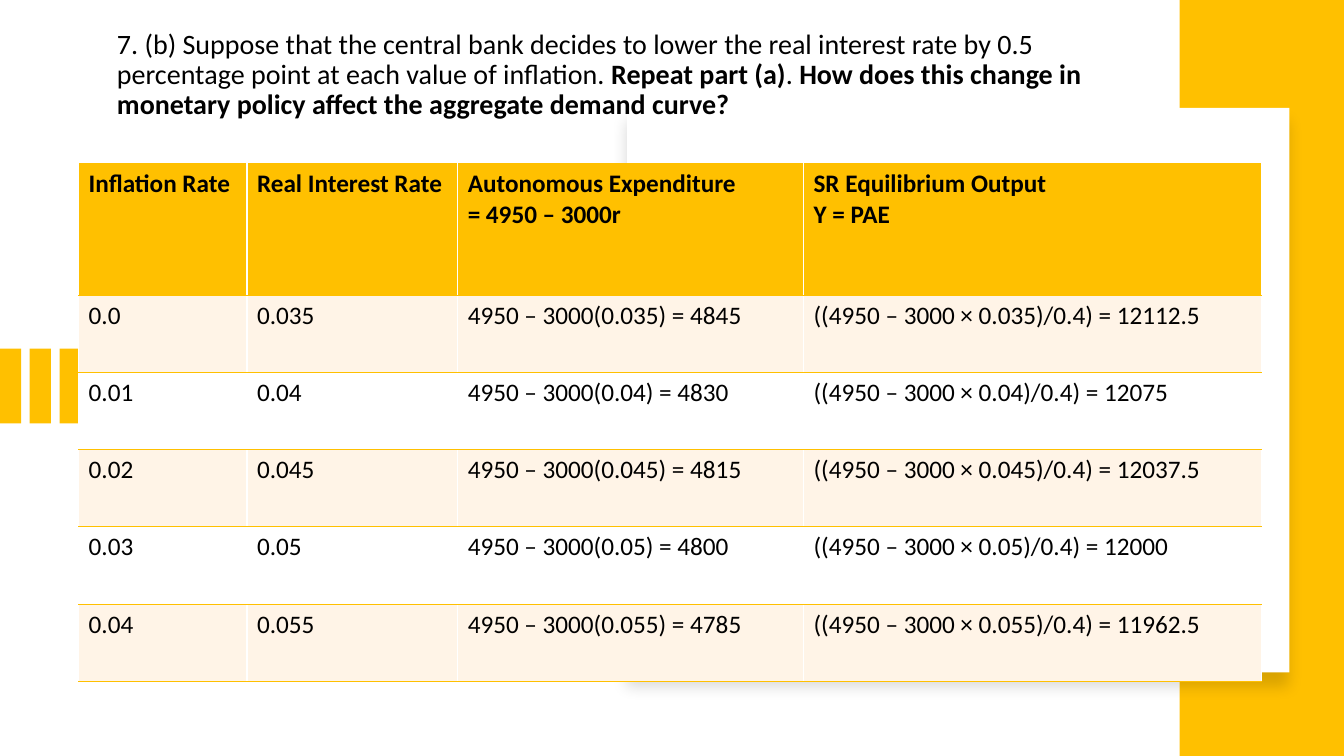
from lxml.etree import SubElement
from pptx import Presentation
from pptx.dml.color import RGBColor
from pptx.enum.shapes import MSO_SHAPE
from pptx.enum.text import MSO_ANCHOR, PP_ALIGN
from pptx.oxml.ns import qn
from pptx.util import Inches, Pt

# Content
QUESTION = [  # (text, bold)
    ("7. (b) Suppose that the central bank decides to lower the real interest rate "
     "by 0.5 percentage point at each value of inflation. ", False),
    ("Repeat part (a)", True),
    (". ", False),
    ("How does this change in monetary policy affect the aggregate demand curve?", True),
]
HEADERS = ["Inflation Rate", "Real Interest Rate",
           "Autonomous Expenditure\n= 4950 – 3000r", "SR Equilibrium Output\nY = PAE"]
SCHEDULE = [
    ("0.0", "0.035", "4950 – 3000(0.035) = 4845", "((4950 – 3000 × 0.035)/0.4) = 12112.5"),
    ("0.01", "0.04", "4950 – 3000(0.04) = 4830", "((4950 – 3000 × 0.04)/0.4) = 12075"),
    ("0.02", "0.045", "4950 – 3000(0.045) = 4815", "((4950 – 3000 × 0.045)/0.4) = 12037.5"),
    ("0.03", "0.05", "4950 – 3000(0.05) = 4800", "((4950 – 3000 × 0.05)/0.4) = 12000"),
    ("0.04", "0.055", "4950 – 3000(0.055) = 4785", "((4950 – 3000 × 0.055)/0.4) = 11962.5"),
]
COLUMN_WIDTHS = [1.67, 2.09, 3.43, 4.54]
TABLE_HEIGHT, HEADER_HEIGHT = 5.14, 1.31
GOLD, CREAM, WHITE, BLACK = "FFC000", "FFF4E7", "FFFFFF", "000000"
FONT = "Calibri"


def color(hex_code):
    return RGBColor.from_string(hex_code)


def add_block(shapes, left, top, width, height, fill):
    block = shapes.add_shape(MSO_SHAPE.RECTANGLE, Inches(left), Inches(top),
                             Inches(width), Inches(height))
    block.fill.solid()
    block.fill.fore_color.rgb = color(fill)
    block.line.fill.background()
    block.shadow.inherit = False
    return block


def add_soft_shadow(block):
    effects = block.element.spPr.find(qn("a:effectLst"))
    shadow = SubElement(effects, qn("a:outerShdw"), blurRad=str(Pt(11)), dist=str(Pt(10)),
                        dir="5400000", algn="t", rotWithShape="0")
    tint = SubElement(shadow, qn("a:srgbClr"), val=BLACK)
    SubElement(tint, qn("a:alpha"), val="15000")


def style_font(font, size, bold):
    font.name, font.size, font.bold = FONT, Pt(size), bold
    font.color.rgb = color(BLACK)


def set_borders(cell):
    properties = cell._tc.get_or_add_tcPr()
    sides = [("a:lnL", WHITE, 1), ("a:lnR", WHITE, 1), ("a:lnT", GOLD, 0.75), ("a:lnB", GOLD, 0.75)]
    for side, line_color, width in sides:
        line = SubElement(properties, qn(side), w=str(Pt(width)))
        SubElement(SubElement(line, qn("a:solidFill")), qn("a:srgbClr"), val=line_color)


def fill_cell(cell, text, fill, bold):
    cell.text_frame.text = text
    for paragraph in cell.text_frame.paragraphs:
        for run in paragraph.runs:
            style_font(run.font, 18, bold)
    set_borders(cell)
    cell.fill.solid()
    cell.fill.fore_color.rgb = color(fill)


def main():
    presentation = Presentation()
    presentation.slide_width, presentation.slide_height = Inches(13.33), Inches(7.5)
    slide = presentation.slides.add_slide(presentation.slide_layouts[5])

    # Gold stripes, side band and white card
    stripes = slide.shapes.add_group_shape()
    for i in range(3):
        add_block(stripes.shapes, i * 0.295, 3.46, 0.21, 0.74, GOLD)
    add_block(slide.shapes, 11.7, 0, 1.63, 7.5, GOLD)
    add_soft_shadow(add_block(slide.shapes, 6.22, 1.07, 6.57, 5.6, WHITE))

    # Schedule table
    table = slide.shapes.add_table(
        len(SCHEDULE) + 1, len(HEADERS), Inches(0.78), Inches(1.62),
        Inches(sum(COLUMN_WIDTHS)), Inches(TABLE_HEIGHT)).table
    for column, width in zip(table.columns, COLUMN_WIDTHS):
        column.width = Inches(width)
    row_height = (TABLE_HEIGHT - HEADER_HEIGHT) / len(SCHEDULE)
    for r, texts in enumerate([HEADERS] + SCHEDULE):
        header = r == 0
        table.rows[r].height = Inches(HEADER_HEIGHT if header else row_height)
        fill = GOLD if header else CREAM if r % 2 else WHITE
        for c, text in enumerate(texts):
            fill_cell(table.cell(r, c), text, fill, header)

    # Question, in front of the card
    question = slide.shapes.title
    question.left, question.top = Inches(1.06), Inches(0.25)
    question.width, question.height = Inches(9.77), Inches(1.28)
    question.element.getparent().append(question.element)
    frame = question.text_frame
    frame.word_wrap = True
    frame.vertical_anchor = MSO_ANCHOR.TOP
    paragraph = frame.paragraphs[0]
    paragraph.alignment = PP_ALIGN.LEFT
    paragraph.line_spacing = 0.9
    for text, bold in QUESTION:
        run = paragraph.add_run()
        run.text = text
        style_font(run.font, 20, bold)

    presentation.save("out.pptx")


if __name__ == "__main__":
    main()
